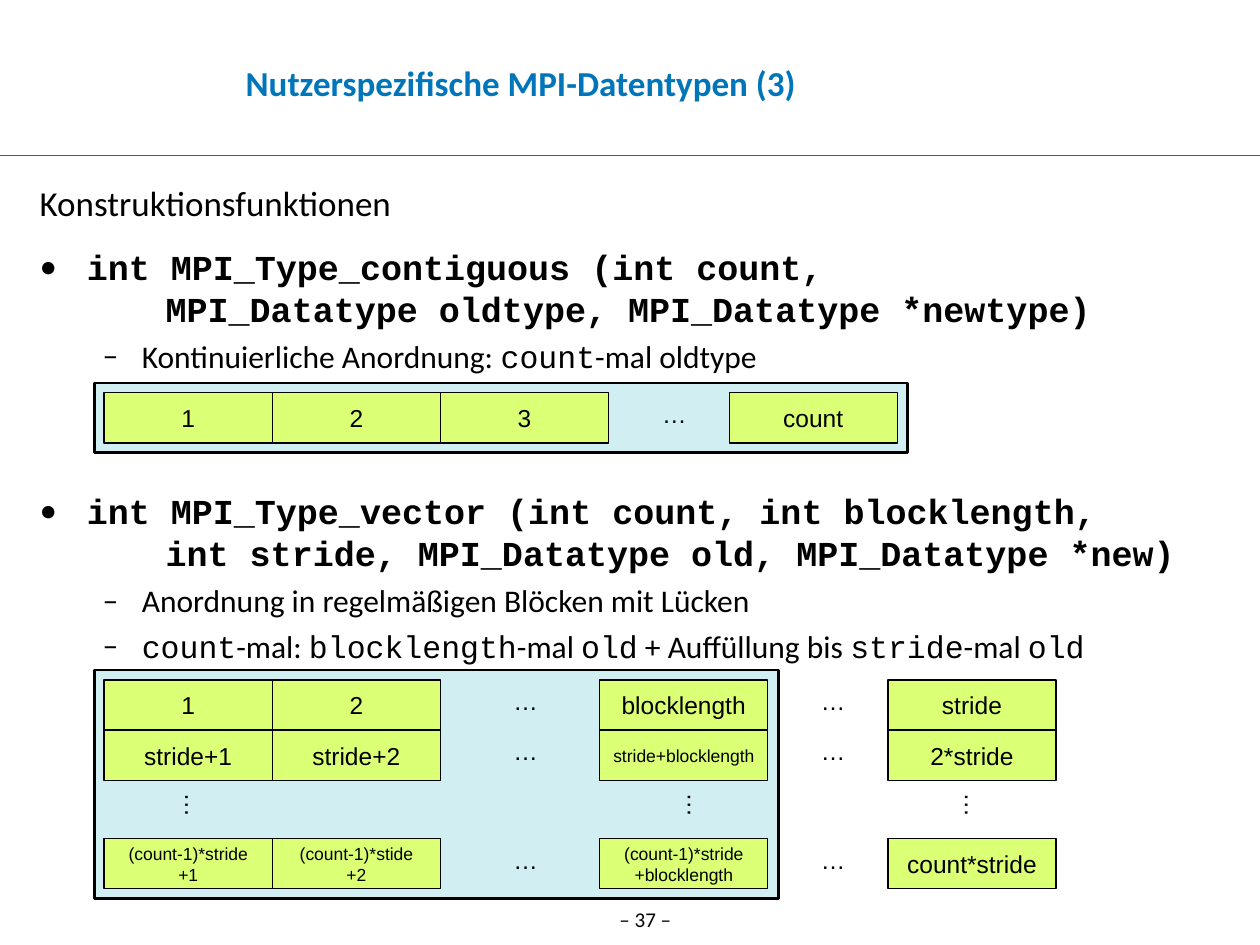
import pptx
import pptx.util
import pptx.dml.color
import pptx.enum.shapes
import pptx.enum.text
import pptx.oxml.ns
import lxml.etree

Cm, Pt = pptx.util.Cm, pptx.util.Pt
ALIGN, ANCHOR = pptx.enum.text.PP_ALIGN, pptx.enum.text.MSO_ANCHOR
COLORS = {"blue": "0075BA", "black": "000000", "frame": "D1EFF3", "cell": "DBFF75"}

# Content
TITLE = "Nutzerspezifische MPI-Datentypen (3)"
PAGE = "– 37 –"
SANS, MONO = "Calibri", "Courier New"

# Paragraph kind, space before in points, (text, font) runs
BODY = [
    ("head", 12.5, [("Konstruktionsfunktionen", SANS)]),
    ("call", 12.5, [("int MPI_Type_contiguous (int count,\n"
                     "\tMPI_Datatype oldtype, MPI_Datatype *newtype)", MONO)]),
    ("note", 4.5, [("Kontinuierliche Anordnung: ", SANS), ("count", MONO),
                   ("-mal oldtype", SANS)]),
    ("call", 65.5, [("int MPI_Type_vector (int count, int blocklength,\n"
                     "\tint stride, MPI_Datatype old, MPI_Datatype *new)", MONO)]),
    ("note", 4.5, [("Anordnung in regelmäßigen Blöcken mit Lücken", SANS)]),
    ("note", 4.5, [("count", MONO), ("-mal: ", SANS), ("blocklength", MONO),
                   ("-mal ", SANS), ("old", MONO), (" + Auffüllung bis ", SANS),
                   ("stride", MONO), ("-mal ", SANS), ("old", MONO)]),
]
# Size, bold, left margin and first-line indent in cm, bullet
KINDS = {
    "head": (20, False, 0.95, -0.95, None),
    "call": (20, True, 0.95, -0.95, "•"),
    "note": (18, False, 2.06, -0.79, "–"),
}

# Diagrams, in cm: column positions, then rows with their top
DOTS = "…"
FRAMES = [(1.9, 7.72, 16.4, 1.4), (1.9, 13.51, 13.8, 4.6)]
CONTIGUOUS_X = [2.1, 5.49, 8.88, 13.1, 14.7]
CONTIGUOUS = [(7.92, ["1", "2", "3", DOTS, "count"])]
VECTOR_X = [2.1, 5.49, 10.1, 12.09, 16.3, 17.9]
VECTOR = [
    (13.71, ["1", "2", DOTS, "blocklength", DOTS, "stride"]),
    (14.72, ["stride+1", "stride+2", DOTS, "stride+blocklength", DOTS, "2*stride"]),
    (16.91, ["(count-1)*stride\n+1", "(count-1)*stide\n+2", DOTS,
             "(count-1)*stride\n+blocklength", DOTS, "count*stride"]),
]
VERTICAL_DOTS_X, VERTICAL_DOTS_Y = [3, 13.13, 18.72], 15.7
CELL_W, CELL_H = 3.39, 1.01
DOTS_W, DOTS_H = 1.2, 0.86


def rgb(name):
    return pptx.dml.color.RGBColor.from_string(COLORS[name])


def write(p, text, size=14, font="Arial", color="black", bold=False, align=None):
    """Add formatted text to a paragraph; each newline is a line break."""
    if align is not None:
        p.alignment = align
    for i, line in enumerate(text.split("\n")):
        if i:
            p.add_line_break()
        r = p.add_run()
        r.text = line
        r.font.size, r.font.name, r.font.bold = Pt(size), font, bold
        r.font.color.rgb = rgb(color)


def add_box(s, x, y, w, h):
    sp = s.shapes.add_textbox(Cm(x), Cm(y), Cm(w), Cm(h))
    sp.text_frame.word_wrap = True
    return sp


def add_rect(s, x, y, w, h, fill, width):
    sp = s.shapes.add_shape(pptx.enum.shapes.MSO_SHAPE.RECTANGLE,
                            Cm(x), Cm(y), Cm(w), Cm(h))
    sp.shadow.inherit = False
    sp.fill.solid()
    sp.fill.fore_color.rgb = rgb(fill)
    sp.line.color.rgb = rgb("black")
    sp.line.width = Pt(width)
    return sp


def add_dots(s, x, y, rotation=0):
    sp = add_box(s, x, y, DOTS_W, DOTS_H)
    sp.rotation = rotation
    write(sp.text_frame.paragraphs[0], DOTS)


def add_cell(s, x, y, text):
    sp = add_rect(s, x, y, CELL_W, CELL_H, "cell", 0.75)
    tf = sp.text_frame
    tf.word_wrap = False
    tf.vertical_anchor = ANCHOR.MIDDLE
    write(tf.paragraphs[0], text, size=10 if len(text) > 12 else 14,
          align=ALIGN.CENTER)


def add_grid(s, columns, rows):
    for y, texts in rows:
        for x, text in zip(columns, texts):
            if text == DOTS:
                add_dots(s, x, y)
            else:
                add_cell(s, x, y, text)


def set_indent(p, margin, indent, bullet):
    """Set margins, bullet and a tab stop at one inch."""
    qn, sub = pptx.oxml.ns.qn, lxml.etree.SubElement
    pPr = p._p.get_or_add_pPr()
    pPr.set("marL", str(Cm(margin)))
    pPr.set("indent", str(Cm(indent)))
    if bullet:
        sub(pPr, qn("a:buFont"), typeface=SANS)
        sub(pPr, qn("a:buChar"), char=bullet)
    else:
        sub(pPr, qn("a:buNone"))
    tabs = sub(pPr, qn("a:tabLst"))
    sub(tabs, qn("a:tab"), pos=str(Cm(2.54)), algn="l")


def main():
    prs = pptx.Presentation()
    prs.slide_width, prs.slide_height = Cm(25.4), Cm(19.05)
    s = prs.slides.add_slide(prs.slide_layouts[6])

    # Header rule and page number
    rule = s.shapes.add_connector(pptx.enum.shapes.MSO_CONNECTOR.STRAIGHT,
                                  0, Cm(3.13), prs.slide_width, Cm(3.13))
    rule.line.color.rgb = rgb("blue")
    rule.line.width = Pt(0.75)
    lxml.etree.SubElement(rule._element.spPr, pptx.oxml.ns.qn("a:effectLst"))
    page = add_box(s, 11.91, 18.16, 2.2, 0.8)
    write(page.text_frame.paragraphs[0], PAGE, size=12, font=SANS, align=ALIGN.CENTER)

    # Title
    tf = add_box(s, 0.5, 0.58, 20, 2.16).text_frame
    tf.vertical_anchor = ANCHOR.MIDDLE
    tf.margin_left = tf.margin_right = tf.margin_top = tf.margin_bottom = 0
    write(tf.paragraphs[0], TITLE, size=20, font=SANS, color="blue", bold=True,
          align=ALIGN.CENTER)

    # Frames behind the body text
    for frame in FRAMES:
        add_rect(s, *frame, "frame", 1.5)

    # Body text
    tf = add_box(s, 0.55, 3.53, 24.84, 13.8).text_frame
    for i, (kind, space, runs) in enumerate(BODY):
        p = tf.add_paragraph() if i else tf.paragraphs[0]
        size, bold, margin, indent, bullet = KINDS[kind]
        p.space_before = Pt(space)
        set_indent(p, margin, indent, bullet)
        for text, font in runs:
            write(p, text, size=size, font=font, bold=bold)

    # Diagram cells
    add_grid(s, CONTIGUOUS_X, CONTIGUOUS)
    add_grid(s, VECTOR_X, VECTOR)
    for x in VERTICAL_DOTS_X:
        add_dots(s, x, VERTICAL_DOTS_Y, rotation=270)

    prs.save("out.pptx")


if __name__ == "__main__":
    main()
